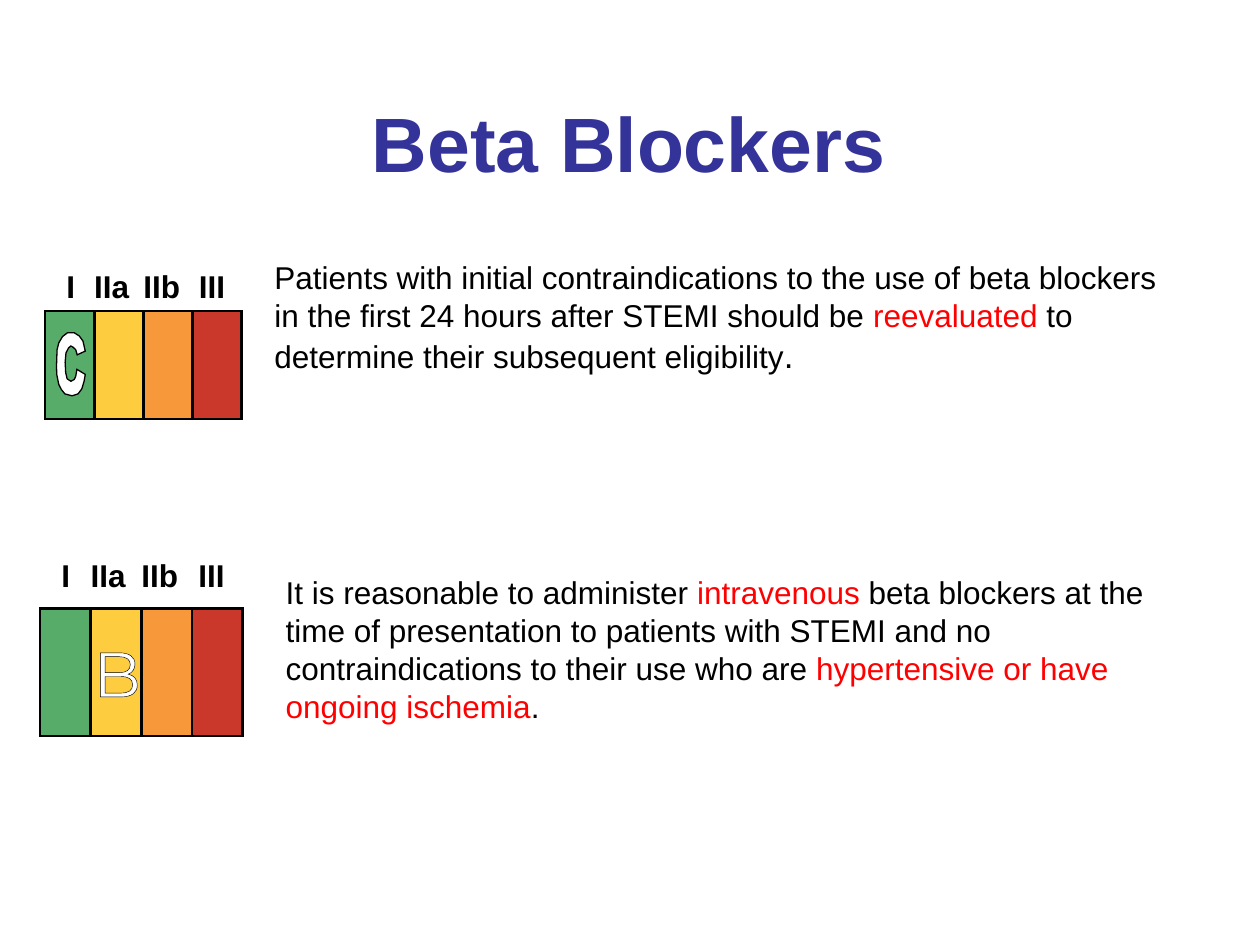
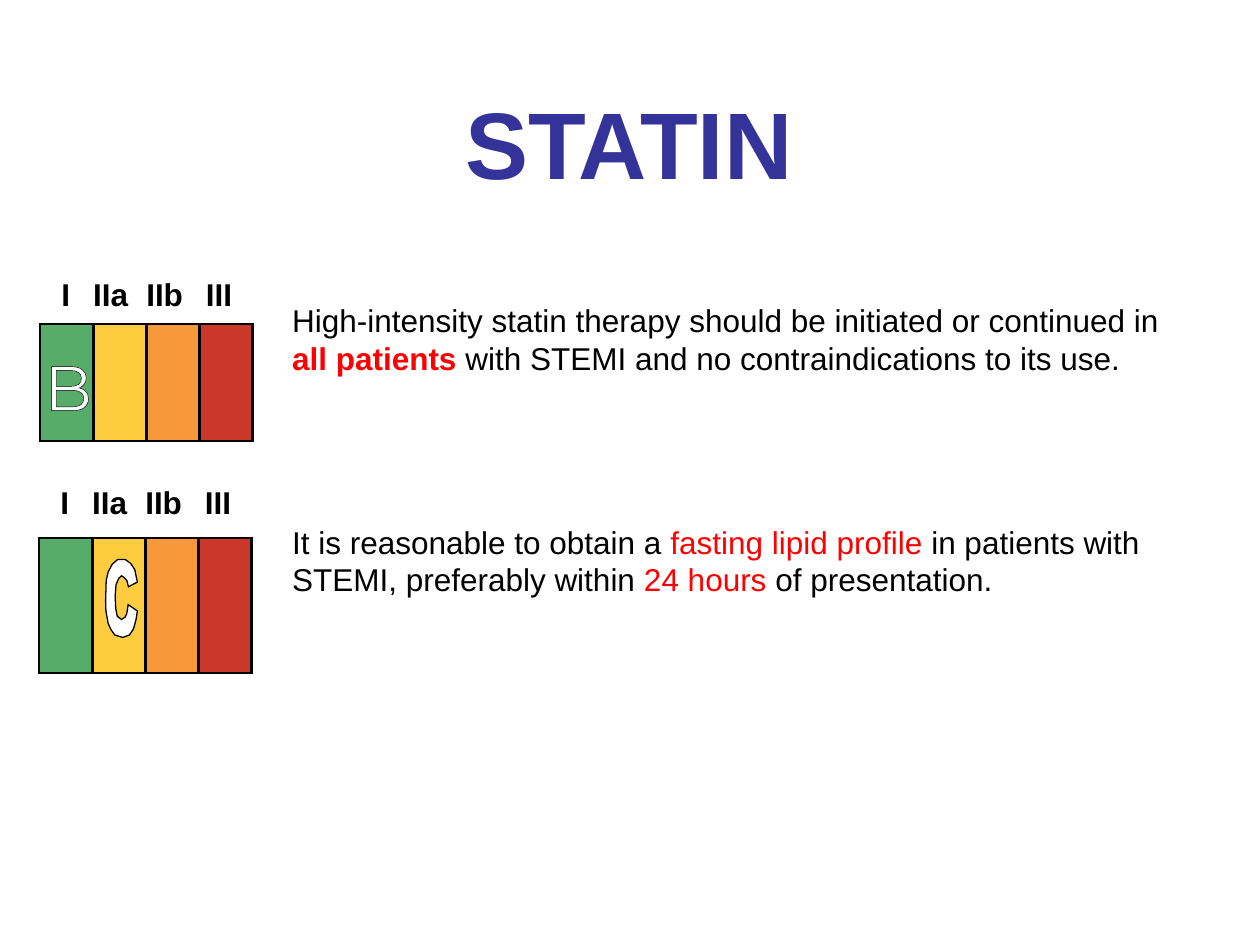
import pptx
import pptx.util
import pptx.dml.color
import pptx.enum.shapes
import pptx.enum.text
import lxml.etree
from pptx.oxml.ns import qn

Cm = pptx.util.Cm
Pt = pptx.util.Pt

COLOURS = {
    "title": "333399", "text": "000000", "accent": "FF0000", "letter": "FFFFFF",
    "line": "000000", "I": "57AC69", "IIa": "FDCC3F", "IIb": "F7983A", "III": "C9382A",
}
BODY = {"name": "Arial", "size": Pt(18), "bold": False}
LABEL = {"name": "Arial", "size": Pt(18), "bold": True}
LETTER = {"name": "Montserrat", "size": Pt(36)}
NO_MARGINS = {"margin_left": 0, "margin_top": 0, "margin_right": 0, "margin_bottom": 0}

# Recommendation classes: name, label offset from its cell, label width (cm)
CLASSES = [("I", 0.43, 0.18), ("IIa", 0, 0.71), ("IIb", 0, 0.76), ("III", 0.13, 0.53)]

# Outline of the block letter C, in percent of its width and height
LETTER_C = [
    (71, 58), (100, 66), (96, 77), (88, 89), (75, 97), (54, 100), (29, 97), (17, 90),
    (8, 82), (1, 66), (0, 53), (2, 27), (8, 16), (21, 6), (38, 0), (62, 0), (79, 5),
    (92, 13), (100, 29), (72, 35), (67, 27), (58, 23), (50, 21), (42, 24), (33, 32),
    (30, 47), (32, 63), (37, 73), (50, 77), (62, 74), (67, 69),
]

# Each item: text box, runs (text, colour, changes), meter box as left, top,
# cell width, height, then label top, letter and letter box (cm)
SLIDES = [
    {"title": "Beta Blockers", "size": 44, "items": [
        {"box": (5.28, 5.08, 18.85, 2.64),
         "runs": [("Patients with initial contraindications to the use of beta blockers in the "
                   "first 24 hours after STEMI should be ", "text", {}),
                  ("reevaluated", "accent", {}),
                  (" to determine their subsequent eligibility", "text", {}),
                  (".", "text", {"size": Pt(20)})],
         "meter": (0.91, 6.27, 0.99, 2.18), "label_top": 5.38,
         "letter": "C", "letter_box": (1.14, 6.71, 0.58, 1.27)},
        {"box": (5.51, 11.43, 18.85, 3.33),
         "runs": [("It is reasonable to administer ", "text", {}),
                  ("intravenous", "accent", {}),
                  (" beta blockers at the time of presentation to patients with STEMI and no "
                   "contraindications to their use who are ", "text", {}),
                  ("hypertensive or have ongoing ischemia", "accent", {}),
                  (".", "text", {})],
         "meter": (0.81, 12.27, 1.02, 2.57), "label_top": 11.2,
         "letter": "B", "letter_box": (1.85, 12.78, 1.02, 1.5)},
    ]},
    {"title": "STATIN", "size": 54, "items": [
        {"box": (5.64, 5.94, 18.85, 1.8),
         "runs": [("High-intensity statin therapy should be initiated or continued in ",
                   "text", {}),
                  ("all patients ", "accent", {"bold": True}),
                  ("with STEMI and no contraindications to its use.", "text", {})],
         "meter": (0.81, 6.53, 1.07, 2.36), "label_top": 5.54,
         "letter": "B", "letter_box": (0.84, 7.01, 1.07, 1.37)},
        {"box": (5.64, 10.41, 18.85, 1.8),
         "runs": [("It is reasonable to obtain a ", "text", {}),
                  ("fasting lipid profile ", "accent", {}),
                  ("in patients with STEMI, preferably within ", "text", {}),
                  ("24 hours ", "accent", {}),
                  ("of presentation.", "text", {})],
         "meter": (0.79, 10.85, 1.07, 2.72), "label_top": 9.73,
         "letter": "C", "letter_box": (2.13, 11.28, 0.64, 1.57)},
    ]},
]


def add_run(p, text, colour, fmt):
    r = p.add_run()
    r.text = text
    for key, value in fmt.items():
        setattr(r.font, key, value)
    r.font.color.rgb = pptx.dml.color.RGBColor.from_string(COLOURS[colour])
    return r


def paint(sp, fill, width):
    sp.shadow.inherit = False
    sp.fill.solid()
    sp.fill.fore_color.rgb = pptx.dml.color.RGBColor.from_string(COLOURS[fill])
    sp.line.color.rgb = pptx.dml.color.RGBColor.from_string(COLOURS["line"])
    sp.line.width = Pt(width)
    # Square corners
    ln = sp._element.spPr.find(qn("a:ln"))
    lxml.etree.SubElement(ln, qn("a:miter"), lim="800000")


prs = pptx.Presentation()
prs.slide_width, prs.slide_height = Cm(25.4), Cm(19.05)

for data in SLIDES:
    s = prs.slides.add_slide(prs.slide_layouts[5])

    # Title
    sp = s.shapes.title
    sp.left, sp.top, sp.width, sp.height = Cm(1.25), Cm(1.27), Cm(22.86), Cm(3.18)
    tf = sp.text_frame
    tf.vertical_anchor = pptx.enum.text.MSO_ANCHOR.MIDDLE
    p = tf.paragraphs[0]
    p.alignment = pptx.enum.text.PP_ALIGN.CENTER
    add_run(p, data["title"], "title",
            {"name": "Arial", "size": Pt(data["size"]), "bold": True})

    for item in data["items"]:
        # Recommendation
        tf = s.shapes.add_textbox(*map(Cm, item["box"])).text_frame
        tf.word_wrap = True
        tf.auto_size = pptx.enum.text.MSO_AUTO_SIZE.SHAPE_TO_FIT_TEXT
        for text, colour, changes in item["runs"]:
            add_run(tf.paragraphs[0], text, colour, {**BODY, **changes})

        # Class meter: four coloured cells with labels above
        meter = s.shapes.add_group_shape().shapes
        left, top, width, height = item["meter"]
        for i, (name, offset, label_width) in enumerate(CLASSES):
            x = left + i * width
            sp = meter.add_shape(pptx.enum.shapes.MSO_SHAPE.RECTANGLE,
                                 Cm(x), Cm(top), Cm(width), Cm(height))
            paint(sp, name, 1.5)
            tf = meter.add_textbox(Cm(x + offset), Cm(item["label_top"]),
                                   Cm(label_width), Cm(0.76)).text_frame
            for key, value in NO_MARGINS.items():
                setattr(tf, key, value)
            tf.word_wrap = False
            tf.auto_size = pptx.enum.text.MSO_AUTO_SIZE.SHAPE_TO_FIT_TEXT
            add_run(tf.paragraphs[0], name, "text", LABEL)

        # Evidence level letter, inside the cell of its class
        x, y, w, h = map(Cm, item["letter_box"])
        if item["letter"] == "C":
            fb = meter.build_freeform(*LETTER_C[0], scale=(w / 100, h / 100))
            fb.add_line_segments(LETTER_C[1:], close=True)
            paint(fb.convert_to_shape(x, y), "letter", 0.75)
        else:
            tf = meter.add_textbox(x, y, w, h).text_frame
            for key, value in NO_MARGINS.items():
                setattr(tf, key, value)
            tf.word_wrap = False
            p = tf.paragraphs[0]
            p.alignment = pptx.enum.text.PP_ALIGN.CENTER
            r = add_run(p, item["letter"], "letter", LETTER)
            ln = lxml.etree.Element(qn("a:ln"), w=str(Pt(0.75)))
            fill = lxml.etree.SubElement(ln, qn("a:solidFill"))
            lxml.etree.SubElement(fill, qn("a:srgbClr"), val=COLOURS["line"])
            r._r.get_or_add_rPr().insert(0, ln)

prs.save("out.pptx")
